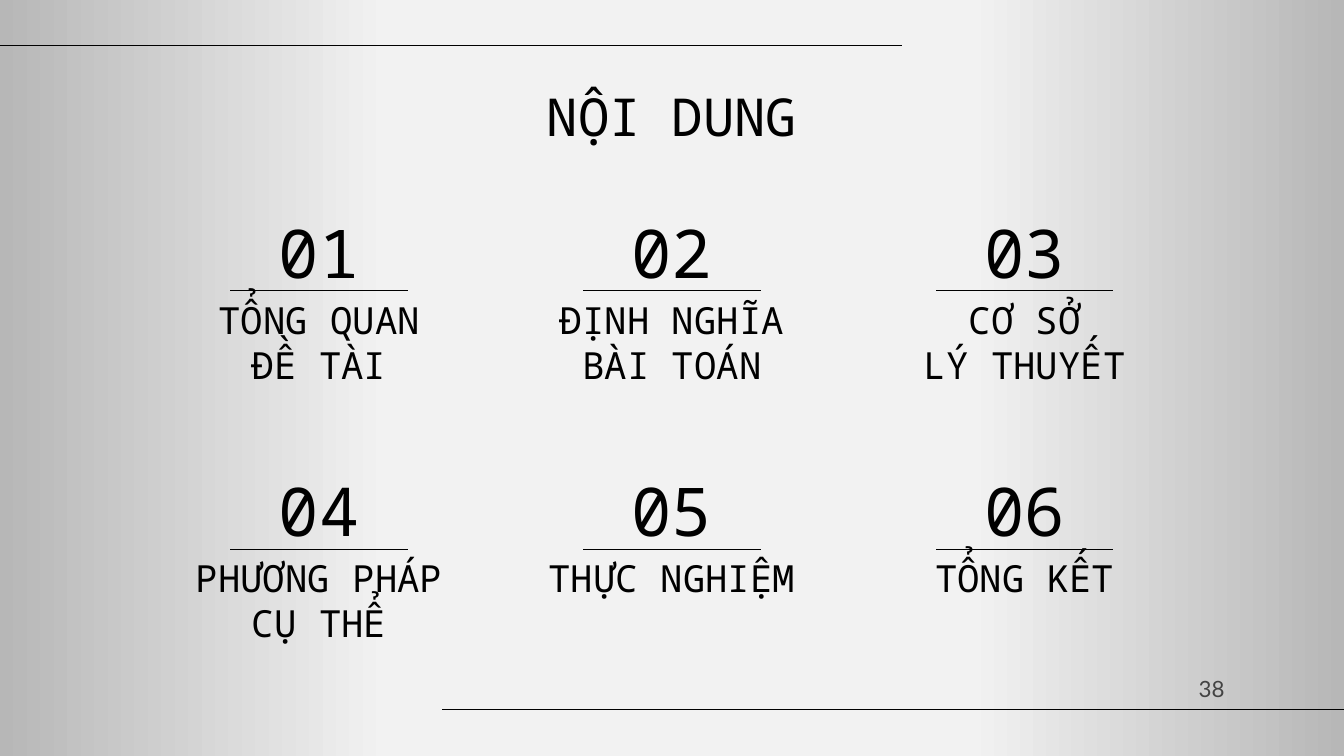
from copy import deepcopy

from pptx import Presentation
from pptx.dml.color import RGBColor
from pptx.enum.shapes import MSO_CONNECTOR
from pptx.enum.text import MSO_ANCHOR, MSO_AUTO_SIZE, PP_ALIGN
from pptx.oxml.ns import qn
from pptx.oxml.xmlchemy import OxmlElement
from pptx.util import Inches, Pt

LINE = MSO_CONNECTOR.STRAIGHT
TOP, MID = MSO_ANCHOR.TOP, MSO_ANCHOR.MIDDLE
MIDDLE, RIGHT = PP_ALIGN.CENTER, PP_ALIGN.RIGHT
FIXED = MSO_AUTO_SIZE.NONE

COLORS = {"ink": "000000", "edge": "B7B7B7", "pale": "F2F2F2", "page": "434343"}
STOPS = [(0, "edge"), (29, "pale"), (72, "pale"), (100, "edge")]
TOPICS = [
    ("TỔNG QUAN ĐỀ TÀI", 0.8),
    ("ĐỊNH NGHĨA BÀI TOÁN", 0.8),
    ("CƠ SỞ\nLÝ THUYẾT", 0.7),
    ("PHƯƠNG PHÁP\nCỤ THỂ", 0.77),
    ("THỰC NGHIỆM", 0.41),
    ("TỔNG KẾT", 0.41),
]


def write(shape, text, size=20, font="Noto Sans Mono", color="ink",
          align=MIDDLE, anchor=TOP, inset=0.04):
    frame = shape.text_frame
    frame.text = text
    frame.word_wrap = True
    frame.auto_size = FIXED
    frame.vertical_anchor = anchor
    frame.margin_left = frame.margin_right = Inches(inset)
    frame.margin_top = frame.margin_bottom = Inches(inset)
    for para in frame.paragraphs:
        para.alignment = align
        para.font.size = Pt(size)
        para.font.name = font
        para.font.color.rgb = RGBColor.from_string(COLORS[color])


class Board:
    def __init__(self, deck):
        self.slide = deck.slides.add_slide(deck.slide_layouts[5])
        self.shapes = self.slide.shapes

    def shade(self):
        fill = self.slide.background.fill
        fill.gradient()
        fill.gradient_angle = 0
        stops = self.slide.element.find(".//" + qn("a:gsLst"))
        for _ in range(len(STOPS) - len(stops)):
            stops.append(deepcopy(stops[0]))
        for stop, (place, color) in zip(fill.gradient_stops, STOPS):
            stop.position = place / 100
            stop.color.rgb = RGBColor.from_string(COLORS[color])

    def title(self, text, left, top, width, height):
        shape = self.shapes.title
        shape.left, shape.top = Inches(left), Inches(top)
        shape.width, shape.height = Inches(width), Inches(height)
        write(shape, text, size=28)

    def label(self, text, left, top, width, height, **style):
        box = self.shapes.add_textbox(
            Inches(left), Inches(top), Inches(width), Inches(height))
        write(box, text, **style)

    def rule(self, left, right, y):
        line = self.shapes.add_connector(
            LINE, Inches(left), Inches(y), Inches(right), Inches(y))
        line.line.width = Pt(0.75)
        line.line.color.rgb = RGBColor.from_string(COLORS["ink"])
        line._element.spPr.append(OxmlElement("a:effectLst"))

    def topic(self, index, text, height):
        row, col = divmod(index, 3)
        mid = 5 + (col - 1) * 10.5 / 4
        top = 1.58 + row * 1.92
        self.label(f"{index + 1:02}", mid - 0.48, top, 0.96, 0.58,
                   size=36, anchor=MID)
        self.rule(mid - 0.66, mid + 0.66, 2.16 + row * 1.93)
        self.label(text, mid - 1.02, top + 0.59, 2.04, height)


def main():
    deck = Presentation()
    deck.slide_width = Inches(10)
    deck.slide_height = deck.slide_width * 9 // 16
    board = Board(deck)
    board.shade()
    board.rule(0, 6.71, 0.34)
    board.rule(3.29, 10, 5.28)
    board.title("NỘI DUNG", 0.79, 0.59, 8.42, 0.63)
    for index, (text, height) in enumerate(TOPICS):
        board.topic(index, text, height)
    board.label("38", 6.96, 4.97, 2.25, 0.3, size=12, font="Lato",
                color="page", align=RIGHT, anchor=MID, inset=0.1)
    deck.save("out.pptx")


if __name__ == "__main__":
    main()
